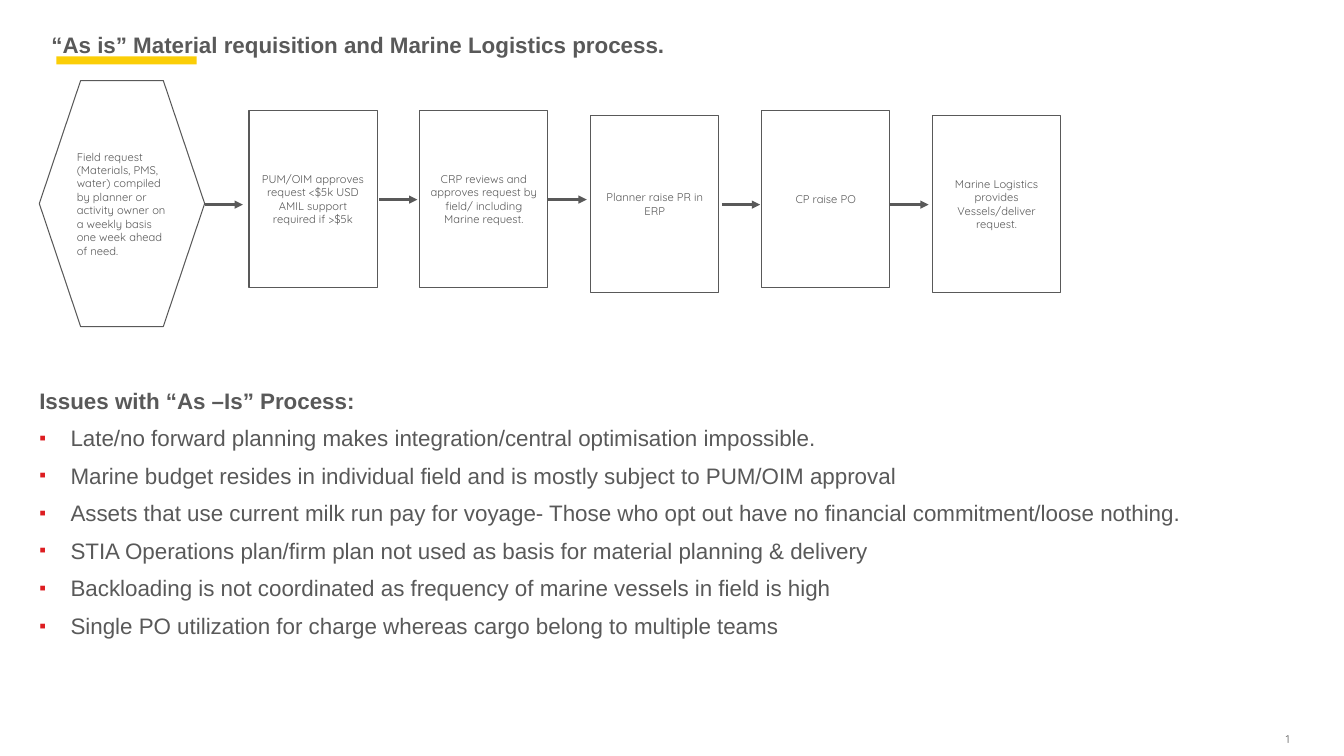
from lxml.etree import SubElement
from pptx import Presentation
from pptx.dml.color import RGBColor
from pptx.enum.shapes import MSO_CONNECTOR as Connector, MSO_SHAPE as Shape
from pptx.enum.text import MSO_ANCHOR as Anchor, PP_ALIGN as Align
from pptx.oxml.ns import qn
from pptx.util import Inches, Pt

# Content
TITLE = "“As is” Material requisition and Marine Logistics process."
PAGE_NUMBER = "1"
REQUEST = ("Field request (Materials, PMS, water) compiled by planner or activity "
           "owner on a weekly basis one week ahead of need.")
# Each step: paragraphs, drop below the row, arrow start and arrow height
STEPS = [
    (["PUM/OIM approves request <$5k USD", "AMIL support required if >$5k"], 0, 2.03, 2.03),
    (["CRP reviews and approves request by field/ including Marine request."], 0, 3.76, 1.98),
    (["Planner raise PR in ERP"], 0.05, 5.44, 1.98),
    (["CP raise PO"], 0, 7.16, 2.03),
    (["Marine Logistics provides Vessels/deliver request."], 0.05, 8.83, 2.03),
]
ISSUES_HEADING = "Issues with “As –Is” Process:"
ISSUES = [
    "Late/no forward planning makes integration/central optimisation impossible.",
    "Marine budget resides in individual field and is mostly subject to PUM/OIM approval",
    "Assets that use current milk run pay for voyage- Those who opt out have no "
    "financial commitment/loose nothing.",
    "STIA Operations plan/firm plan not used as basis for material planning & delivery",
    "Backloading is not coordinated as frequency of marine vessels in field is high",
    "Single PO utilization for charge whereas cargo belong to multiple teams",
]

# Theme and grid
THEME = {
    "ink": RGBColor(0x59, 0x59, 0x59),
    "paper": RGBColor(0xFF, 0xFF, 0xFF),
    "accent": RGBColor(0xFB, 0xCE, 0x07),
    "bullet": "DD1D21",
    "heading": {"name": "Arial", "size": Pt(16), "bold": True},
    "body": {"name": "Arial", "size": Pt(16), "bold": False},
    "small": {"name": "Quicksand", "size": Pt(8)},
}
SLIDE_W, SLIDE_H = 13.33, 7.5
MARGIN = 0.39
STEP_LEFT, STEP_TOP, STEP_W, STEP_H = 2.47, 1.1, 1.27, 1.75
STEP_PITCH = (9.25 - STEP_LEFT) / (len(STEPS) - 1)
ARROW_LENGTH = 0.38
INDENT = 0.31


def write(paragraph, text, style, **formats):
    for key, value in formats.items():
        setattr(paragraph, key, value)
    run = paragraph.add_run()
    run.text = text
    for key, value in THEME[style].items():
        setattr(run.font, key, value)
    run.font.color.rgb = THEME["ink"]


def paragraphs(frame, count):
    return [frame.paragraphs[0]] + [frame.add_paragraph() for _ in range(count - 1)]


def text_area(box, wrap, anchor=Anchor.TOP):
    frame = slide.shapes.add_textbox(*map(Inches, box)).text_frame
    settings = {"word_wrap": wrap, "vertical_anchor": anchor, "margin_left": 0,
                "margin_right": 0, "margin_top": 0, "margin_bottom": 0}
    for key, value in settings.items():
        setattr(frame, key, value)
    return frame


def block(kind, box, fill):
    shape = slide.shapes.add_shape(kind, *map(Inches, box))
    shape.shadow.inherit = False
    shape.fill.solid()
    shape.fill.fore_color.rgb = THEME[fill]
    return shape


def process_box(kind, box, lines, alignment):
    shape = block(kind, box, "paper")
    shape.line.color.rgb = THEME["ink"]
    shape.line.width = Pt(0.75)
    frame = shape.text_frame
    frame.word_wrap = True
    frame.vertical_anchor = Anchor.MIDDLE
    for paragraph, line in zip(paragraphs(frame, len(lines)), lines):
        write(paragraph, line, "small", alignment=alignment)


def arrow(left, y):
    link = slide.shapes.add_connector(
        Connector.STRAIGHT, *map(Inches, (left, y, left + ARROW_LENGTH, y)))
    link.line.color.rgb = THEME["ink"]
    link.line.width = Pt(1.75)
    SubElement(link.line._get_or_add_ln(), qn("a:tailEnd"), type="triangle")
    SubElement(link._element.spPr, qn("a:effectLst"))


def add_bullet(paragraph):
    props = paragraph._p.get_or_add_pPr()
    props.set("marL", str(Inches(INDENT)))
    props.set("indent", str(-Inches(INDENT)))
    colour = SubElement(props, qn("a:buClr"))
    SubElement(colour, qn("a:srgbClr"), val=THEME["bullet"])
    SubElement(props, qn("a:buSzPct"), val="85000")
    SubElement(props, qn("a:buFont"), typeface="Arial")
    SubElement(props, qn("a:buChar"), char="▪")


deck = Presentation()
deck.slide_width, deck.slide_height = Inches(SLIDE_W), Inches(SLIDE_H)
slide = deck.slides.add_slide(deck.slide_layouts[6])

# Page number, accent bar and title
number = text_area((12.65, 7.27, 0.14, 0.13), False, Anchor.BOTTOM)
write(number.paragraphs[0], PAGE_NUMBER, "small", alignment=Align.RIGHT)
block(Shape.RECTANGLE, (0.56, 0.56, 1.39, 0.08), "accent").line.fill.background()
title = text_area((0.51, 0.2, 6.17, 0.33), False)
write(title.paragraphs[0], TITLE, "heading", line_spacing=1.4)

# Process flow
process_box(Shape.HEXAGON, (MARGIN, 0.8, 1.64, 2.44), [REQUEST], Align.LEFT)
for column, (lines, drop, arrow_left, arrow_y) in enumerate(STEPS):
    left = STEP_LEFT + column * STEP_PITCH
    process_box(Shape.RECTANGLE, (left, STEP_TOP + drop, STEP_W, STEP_H), lines, Align.CENTER)
    arrow(arrow_left, arrow_y)

# Issues list
issues = text_area((MARGIN, 3.73, SLIDE_W - MARGIN, 3.35), True)
heading, *items = paragraphs(issues, len(ISSUES) + 1)
write(heading, ISSUES_HEADING, "heading", line_spacing=1.4)
for item, issue in zip(items, ISSUES):
    add_bullet(item)
    write(item, issue, "body", line_spacing=1.4)

deck.save("out.pptx")
